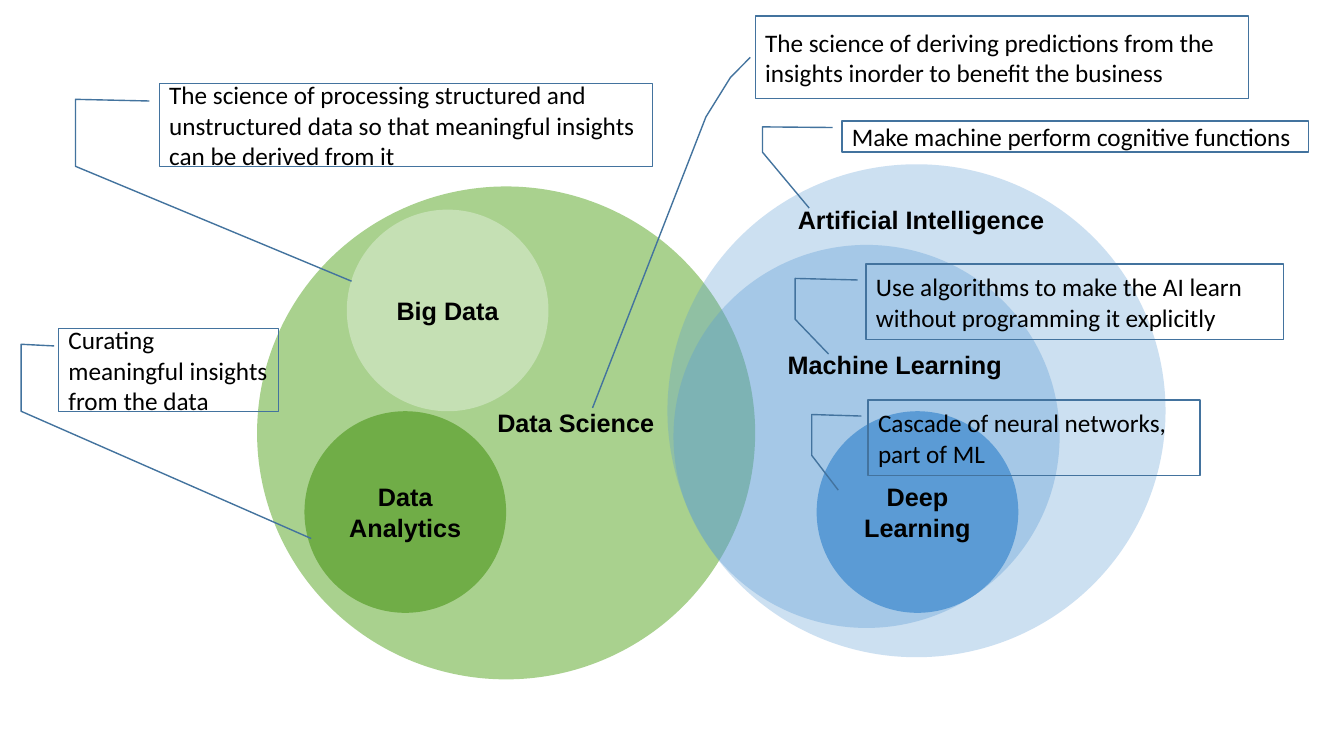
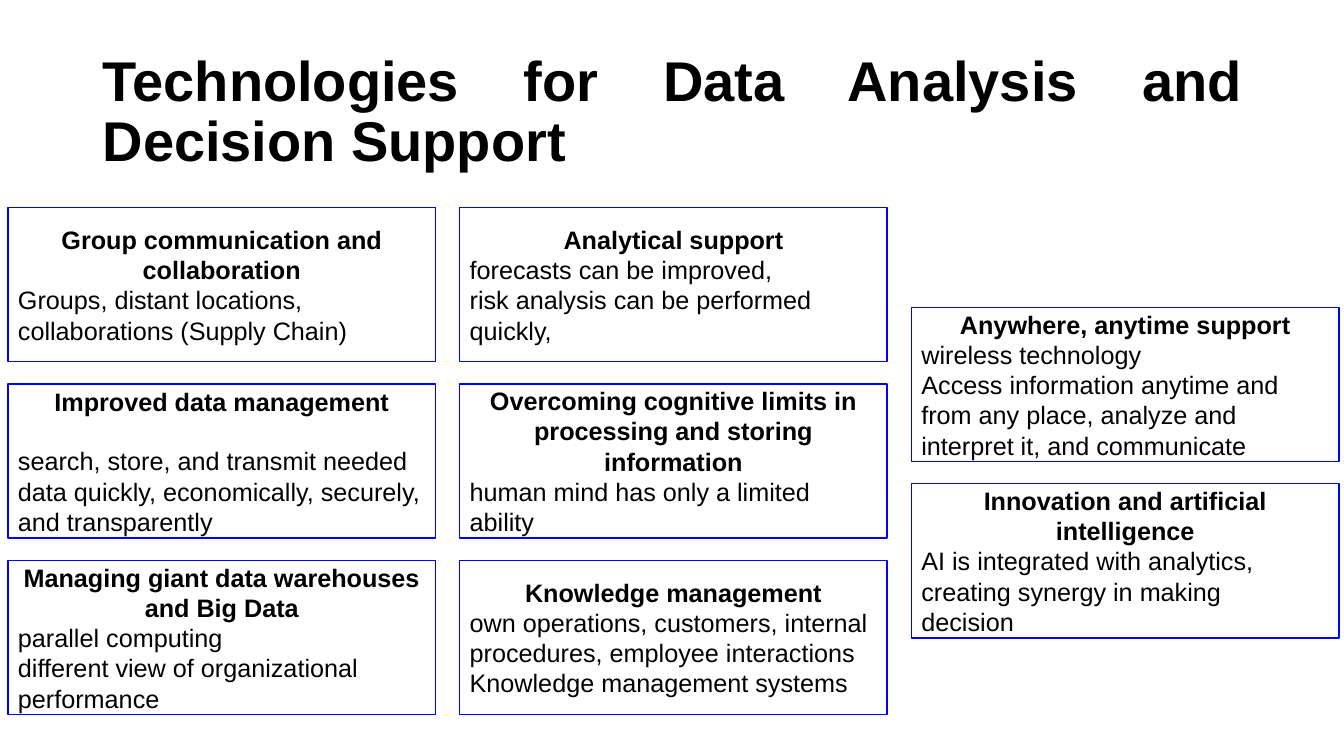
import pptx
import pptx.dml.color
import pptx.enum.shapes
import pptx.enum.text
import pptx.oxml.ns
import pptx.util
from lxml import etree

Inches = pptx.util.Inches
Pt = pptx.util.Pt
Shapes = pptx.enum.shapes.MSO_SHAPE
Align = pptx.enum.text.PP_ALIGN
qn = pptx.oxml.ns.qn

COLORS = {
    "text": "000000",
    "white": "FFFFFF",
    "light_green": "C5E0B4",
    "mid_green": "A9D18E",
    "green": "70AD47",
    "blue": "5B9BD5",
    "callout_line": "43739E",
    "card_line": "0000FF",
}


def rgb(name):
    return pptx.dml.color.RGBColor.from_string(COLORS[name])


class Deck:
    heading_font = "Arial"
    note_font = "Calibri"
    text_size = 18
    title_size = 40

    def __init__(self):
        self.presentation = pptx.Presentation()
        self.presentation.slide_width = Inches(13.33)
        self.presentation.slide_height = Inches(7.5)
        self.slide = None

    def new_slide(self):
        self.slide = self.presentation.slides.add_slide(self.presentation.slide_layouts[6])

    def shape(self, kind, box, fill=None, line=None, alpha=None):
        shape = self.slide.shapes.add_shape(kind, *map(Inches, box))
        shape.shadow.inherit = False
        if fill:
            shape.fill.solid()
            shape.fill.fore_color.rgb = rgb(fill)
        else:
            shape.fill.background()
        if alpha:
            color = shape.element.spPr.find(qn("a:solidFill"))[0]
            etree.SubElement(color, qn("a:alpha")).set("val", str(alpha * 1000))
        if line:
            shape.line.color.rgb = rgb(line)
            shape.line.width = Pt(1)
        else:
            shape.line.fill.background()
        return shape

    def add_text(self, shape, texts, align=Align.LEFT, bold=False, font=heading_font, size=text_size):
        frame = shape.text_frame
        frame.word_wrap = True
        frame.vertical_anchor = pptx.enum.text.MSO_ANCHOR.MIDDLE
        for index, text in enumerate(texts):
            paragraph = frame.paragraphs[0] if index == 0 else frame.add_paragraph()
            paragraph.alignment = align
            run = paragraph.add_run()
            run.text = text
            run.font.name = font
            run.font.size = Pt(size)
            run.font.bold = bold
            run.font.color.rgb = rgb("text")

    def text_box(self, box, text, align, size=text_size):
        text_box = self.slide.shapes.add_textbox(*map(Inches, box))
        self.add_text(text_box, [text], align, bold=True, size=size)
        return text_box

    def title(self, text):
        title = self.text_box((0.92, 0.4, 11.5, 1.45), text, Align.JUSTIFY, self.title_size)
        title.text_frame.paragraphs[0].line_spacing = 0.9

    def circle(self, box, fill, text=None, alpha=None):
        circle = self.shape(Shapes.OVAL, box, fill, alpha=alpha)
        if text:
            self.add_text(circle, [text], Align.CENTER, bold=True)

    def callout(self, box, text, leader):
        callout = self.shape(Shapes.LINE_CALLOUT_3, box, line="callout_line")
        for index, value in enumerate(leader):
            callout.adjustments[index] = value
        self.add_text(callout, [text], font=self.note_font)

    def card(self, left, top, heading, lines, gap=0):
        card = self.shape(Shapes.RECTANGLE, (left, top, 4.24, 1.53), "white", "card_line")
        self.add_text(card, [heading, *lines])
        first = card.text_frame.paragraphs[0]
        first.alignment = Align.CENTER
        first.runs[0].font.bold = True
        first.space_after = Pt(gap)


def build_fields_slide(deck):
    deck.new_slide()
    deck.circle((2.55, 1.85, 4.94, 4.89), "mid_green")
    deck.circle((3.44, 2.08, 2, 2), "light_green", "Big Data")
    deck.circle((3.02, 4.08, 2, 2), "green", "Data Analytics")
    deck.circle((6.62, 1.63, 4.94, 4.89), "blue", alpha=31)
    deck.circle((6.68, 2.43, 3.83, 3.8), "blue", alpha=34)
    deck.circle((8.1, 4.08, 2, 2), "blue", "Deep Learning")

    for left, top, width, text in (
        (4.8, 3.99, 1.82, "Data Science"),
        (7.76, 1.98, 2.75, "Artificial Intelligence"),
        (7.5, 3.42, 2.75, "Machine Learning"),
    ):
        deck.text_box((left, top, width, 0.4), text, Align.CENTER)

    start = (0.21, -0.02, 0.19, -0.17)
    long_bend = (*start, 1, -0.17)
    short_leader = (*start, 0.73, -0.17, 1.19, -0.09)
    for box, text, leader in (
        ((1.58, 0.83, 4.89, 0.82),
         "The science of processing structured and unstructured data so that "
         "meaningful insights can be derived from it", (*long_bend, 2.39, 0.39)),
        ((0.58, 3.26, 2.18, 0.82),
         "Curating meaningful insights from the data", (*long_bend, 2.54, 1.15)),
        ((7.49, 0.16, 4.89, 0.82),
         "The science of deriving predictions from the insights inorder to benefit the business",
         (0.5, -0.01, 0.74, -0.05, 1.22, -0.1, 4.74, -0.33)),
        ((8.35, 1.2, 4.63, 0.31),
         "Make machine perform cognitive functions", (*long_bend, 2.79, -0.07)),
        ((8.59, 2.62, 4.14, 0.75),
         "Use algorithms to make the AI learn without programming it explicitly", short_leader),
        ((8.61, 3.97, 3.29, 0.75), "Cascade of neural networks, part of ML", short_leader),
    ):
        deck.callout(box, text, leader)


def build_technologies_slide(deck):
    deck.new_slide()
    deck.title("Technologies for Data Analysis and Decision Support")
    columns = (
        (2.06, (
            ("Group communication and collaboration",
             ["Groups, distant locations, collaborations (Supply Chain)"]),
            ("Improved data management",
             ["search, store, and transmit needed data quickly, economically, "
              "securely, and transparently"], 21),
            ("Managing giant data warehouses and Big Data",
             ["parallel computing", "different view of organizational performance"]),
        )),
        (2.06, (
            ("Analytical support",
             ["forecasts can be improved,", "risk analysis can be performed quickly,"]),
            ("Overcoming cognitive limits in processing and storing information",
             ["human mind has only a limited ability"]),
            ("Knowledge management",
             ["own operations, customers, internal procedures, employee interactions",
              "Knowledge management systems"]),
        )),
        (3.05, (
            ("Anywhere, anytime support",
             ["wireless technology",
              "Access information anytime and from any place, analyze and "
              "interpret it, and communicate"]),
            ("Innovation and artificial intelligence",
             ["AI is integrated with analytics, creating synergy in making", "decision"]),
        )),
    )
    for column, (top, cards) in enumerate(columns):
        for row, card in enumerate(cards):
            deck.card(0.08 + 4.48 * column, top + 1.75 * row, *card)


def main():
    deck = Deck()
    build_fields_slide(deck)
    build_technologies_slide(deck)
    deck.presentation.save("out.pptx")


if __name__ == "__main__":
    main()
